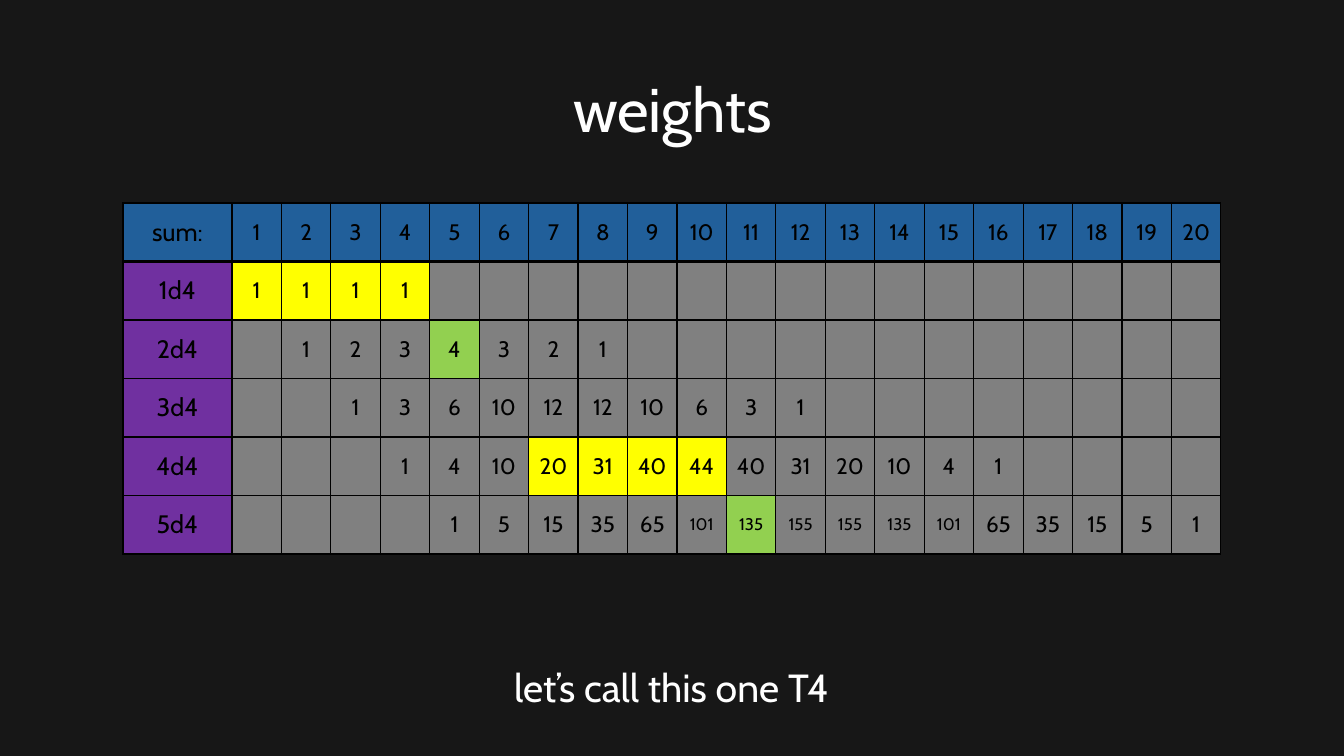
from pptx import Presentation
from pptx import util as u
from pptx.dml.color import RGBColor
from pptx.enum import text
from pptx.oxml import parse_xml
from pptx.oxml.ns import nsdecls

PX = 914400 / 100.8
FONT = "Cabin"
COLORS = {
    "back": "171717", "white": "FFFFFF", "black": "000000",
    "head": "215F9A", "label": "7030A0", "plain": "808080",
    "yellow": "FFFF00", "green": "92D050",
}
TITLE = ("weights", (93, 40, 1159, 146), 44, 0.9)
NOTE = ("let’s call this one T4", (154, 658, 1035, 57), 28, 1.0)
SUMS = 20
WEIGHTS = [
    ("1d4", [1, 1, 1, 1]),
    ("2d4", [1, 2, 3, 4, 3, 2, 1]),
    ("3d4", [1, 3, 6, 10, 12, 12, 10, 6, 3, 1]),
    ("4d4", [1, 4, 10, 20, 31, 40, 44, 40, 31, 20, 10, 4, 1]),
    ("5d4", [1, 5, 15, 35, 65, 101, 135, 155, 155, 135, 101, 65, 35, 15, 5, 1]),
]
MARKS = {
    "yellow": [(1, 1), (1, 2), (1, 3), (1, 4), (4, 7), (4, 8), (4, 9), (4, 10)],
    "green": [(2, 5), (5, 11)],
}
GRID = (123, 203, 1098, 351)
LABEL = 109
THIN, THICK = 1, 2.25


def emu(px):
    return u.Emu(round(px * PX))


def color(name):
    return RGBColor.from_string(COLORS[name])


def write(frame, words, size, tint, space=None):
    para = frame.paragraphs[0]
    para.alignment = text.PP_ALIGN.CENTER
    para.line_spacing = space
    run = para.add_run()
    run.text = words
    run.font.name = FONT
    run.font.size = u.Pt(size)
    run.font.color.rgb = color(tint)


def add_text(slide, words, box, size, space):
    frame = slide.shapes.add_textbox(*map(emu, box)).text_frame
    frame.word_wrap = True
    frame.vertical_anchor = text.MSO_ANCHOR.MIDDLE
    write(frame, words, size, "white", space)


def add_edges(cell, row, col):
    edges = {
        "L": THICK if row and col == 1 else THIN,
        "R": THICK if row and col == 0 else THIN,
        "T": THICK if row == 1 else THIN,
        "B": THICK if row == 0 else THIN,
    }
    props = cell._tc.get_or_add_tcPr()
    for side, width in edges.items():
        props.append(parse_xml(
            f'<a:ln{side} {nsdecls("a")} w="{u.Pt(width)}"><a:solidFill>'
            f'<a:srgbClr val="{COLORS["black"]}"/></a:solidFill></a:ln{side}>'))


def get_fill(row, col):
    if row == 0:
        return "head"
    if col == 0:
        return "label"
    return next((name for name, spots in MARKS.items() if (row, col) in spots), "plain")


def get_size(words, col):
    if col == 0:
        return 18
    return 12 if len(words) > 2 else 16


def get_rows():
    rows = [["sum:", *range(1, SUMS + 1)]]
    for dice, (label, values) in enumerate(WEIGHTS, 1):
        line = [""] * (dice - 1) + values
        rows.append([label] + line + [""] * (SUMS - len(line)))
    return rows


def add_grid(slide):
    rows = get_rows()
    table = slide.shapes.add_table(len(rows), SUMS + 1, *map(emu, GRID)).table
    table.first_row = table.horz_banding = False
    for index, column in enumerate(table.columns):
        column.width = emu((GRID[2] - LABEL) / SUMS if index else LABEL)
    for row, values in enumerate(rows):
        table.rows[row].height = emu(GRID[3] / len(rows))
        for col, value in enumerate(values):
            cell = table.cell(row, col)
            cell.margin_left = cell.margin_right = emu(3)
            cell.vertical_anchor = text.MSO_ANCHOR.MIDDLE
            add_edges(cell, row, col)
            cell.fill.solid()
            cell.fill.fore_color.rgb = color(get_fill(row, col))
            words = str(value)
            if words:
                write(cell.text_frame, words, get_size(words, col), "black")


def main():
    deck = Presentation()
    deck.slide_width, deck.slide_height = emu(1344), emu(756)
    slide = deck.slides.add_slide(deck.slide_layouts[6])
    slide.background.fill.solid()
    slide.background.fill.fore_color.rgb = color("back")
    add_text(slide, *TITLE)
    add_grid(slide)
    add_text(slide, *NOTE)
    deck.save("out.pptx")


if __name__ == "__main__":
    main()
